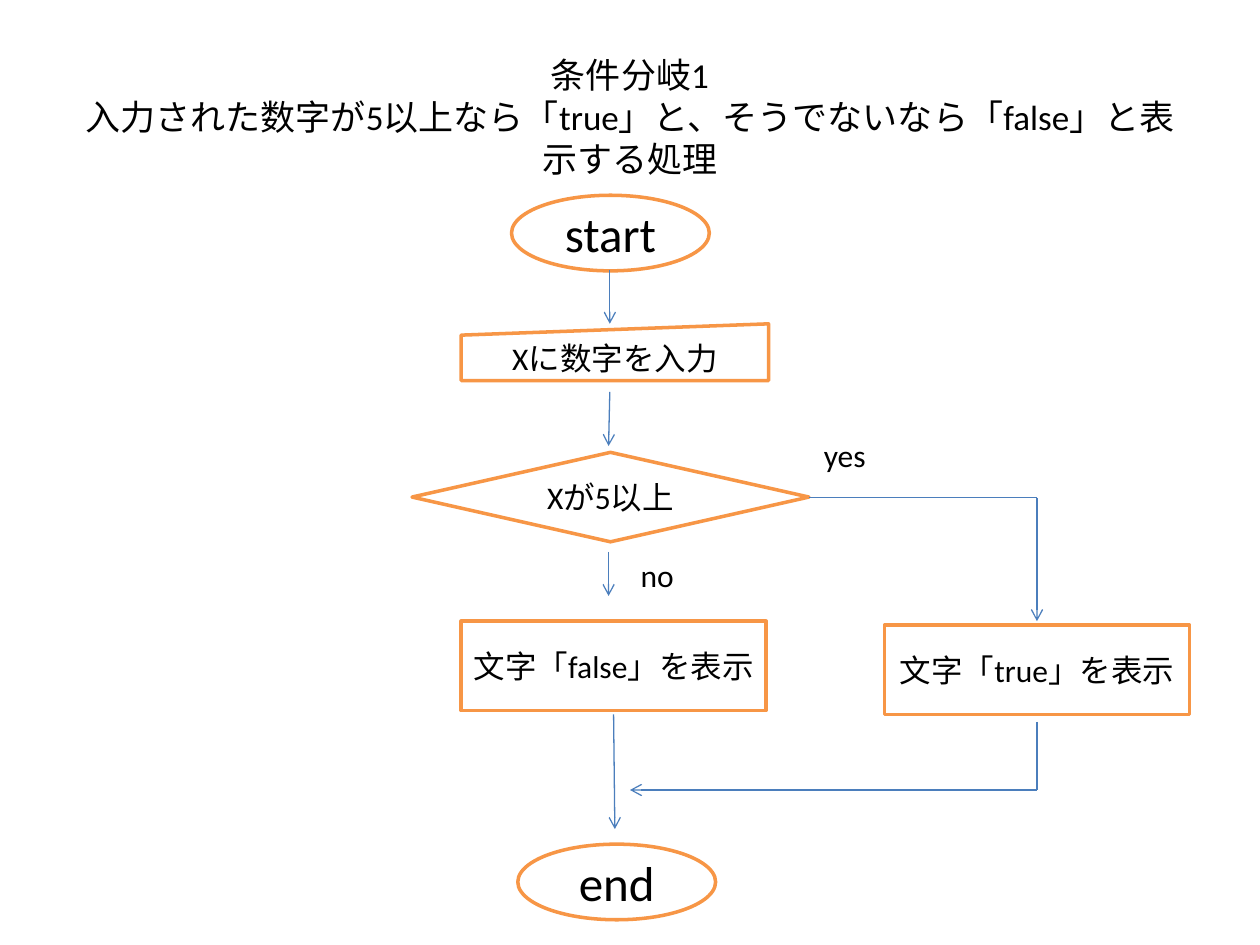
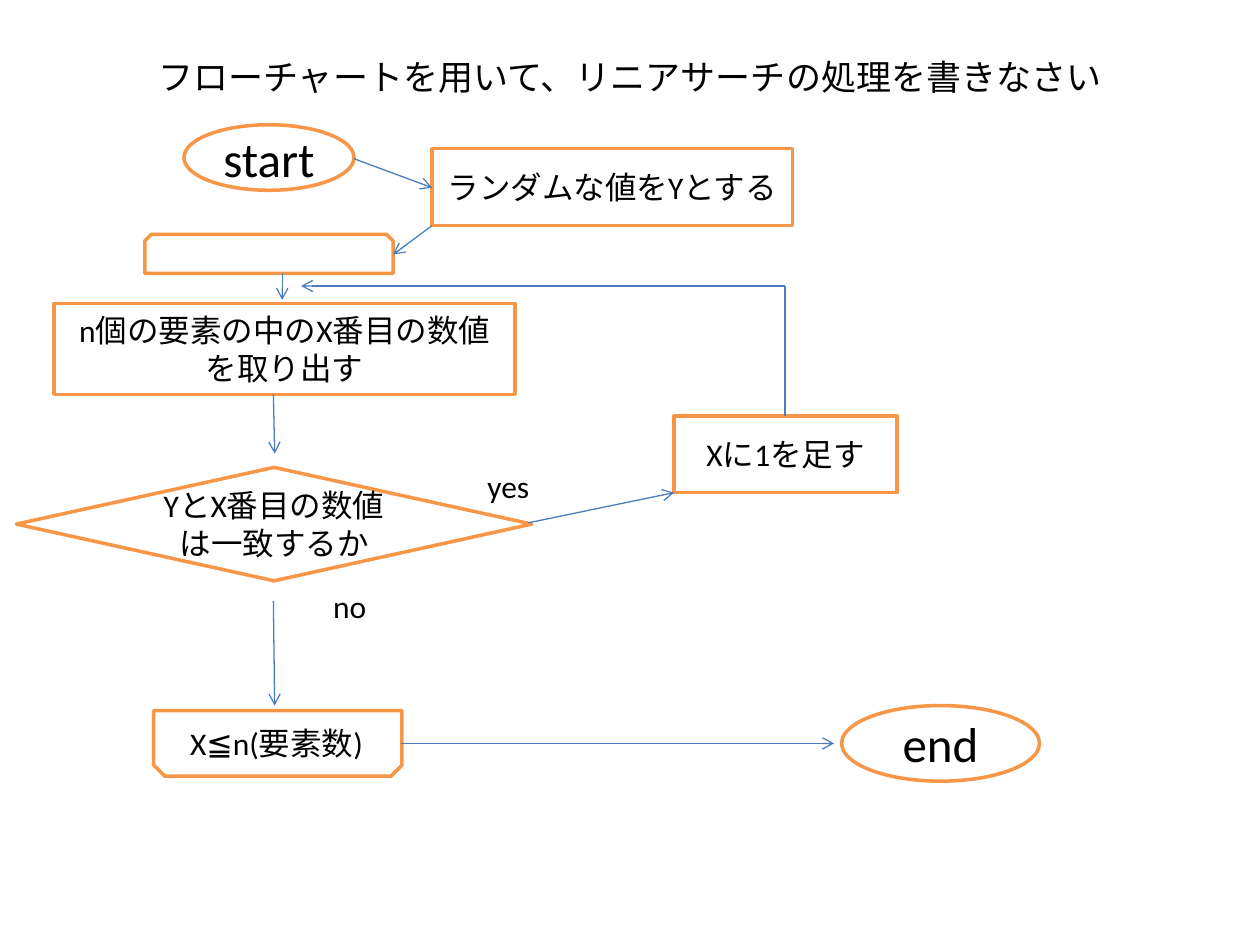
from itertools import pairwise
from lxml.etree import SubElement
from pptx import Presentation
from pptx.dml.color import RGBColor
from pptx.enum.shapes import MSO_CONNECTOR as Connector, MSO_SHAPE as Shape
from pptx.enum.text import MSO_ANCHOR as Anchor, PP_ALIGN as Align
from pptx.oxml.ns import qn
from pptx.util import Inches, Pt

COLUMNS, ROWS = 100, 75
WHITE, BLACK, ORANGE, BLUE = "FFFFFF", "000000", "F79646", "4B7EBC"


def color(value):
    return RGBColor.from_string(value)


def write(box, text, size=18, font="Calibri", ink=BLACK, align=Align.CENTER):
    frame = box.text_frame
    frame.word_wrap = True
    frame.vertical_anchor = Anchor.MIDDLE
    frame.text = text
    para = frame.paragraphs[0]
    para.alignment = align
    for span in para.runs:
        span.font.size = Pt(size)
        span.font.name = font
        span.font.color.rgb = color(ink)


class Flowchart:
    def __init__(self, deck):
        self.deck = deck
        self.column = deck.slide_width / COLUMNS
        self.row = deck.slide_height / ROWS
        self.page = None

    def place(self, left, top, width, height):
        return (round(left * self.column), round(top * self.row),
                round(width * self.column), round(height * self.row))

    def new_page(self, title, top, height):
        self.page = self.deck.slides.add_slide(self.deck.slide_layouts[6])
        self.label(title, 5, top, 90, height, size=20)

    def label(self, text, left, top, width=12.1, height=5.6, size=18):
        box = self.page.shapes.add_textbox(*self.place(left, top, width, height))
        write(box, text, size=size)

    def node(self, kind, text, left, top, width, height, size=18, rotation=0):
        box = self.page.shapes.add_shape(kind, *self.place(left, top, width, height))
        box.shadow.inherit = False
        box.rotation = rotation
        box.fill.solid()
        box.fill.fore_color.rgb = color(WHITE)
        box.line.color.rgb = color(ORANGE)
        box.line.width = Pt(2)
        if text:
            write(box, text, size=size)

    def terminal(self, text, left, top, width=15.7, height=6):
        self.node(Shape.OVAL, text, left, top, width, height, size=28)

    def process(self, text, left, top, width, height):
        self.node(Shape.RECTANGLE, text, left, top, width, height)

    def decision(self, text, left, top, width, height):
        self.node(Shape.FLOWCHART_DECISION, text, left, top, width, height)

    def loop_limit(self, left, top, width, height, rotation=0):
        self.node(Shape.SNIP_2_SAME_RECTANGLE, "", left, top, width, height, rotation=rotation)

    def route(self, *points):
        for start, end in pairwise(points):
            line = self.page.shapes.add_connector(
                Connector.STRAIGHT, *self.place(*start, *end))
            line.line.color.rgb = color(BLUE)
            line.line.width = Pt(0.75)
            properties = line.element.find(qn("p:spPr"))
            SubElement(properties, qn("a:effectLst"))
            if end == points[-1]:
                SubElement(properties.find(qn("a:ln")), qn("a:tailEnd"), type="arrow")


def branching(chart):
    chart.new_page("条件分岐1\v入力された数字が5以上なら「true」と、"
                   "そうでないなら「false」と表示する処理", 3, 12.5)
    chart.terminal("start", 40.6, 15.5)
    chart.node(Shape.FLOWCHART_MANUAL_INPUT, "Xに数字を入力", 36.6, 25.7, 24.4, 4.5)
    chart.decision("Xが5以上", 32.7, 35.9, 31.5, 7.1)
    chart.process("文字「false」を表示", 36.6, 49.3, 24.2, 7.1)
    chart.process("文字「true」を表示", 70.2, 49.6, 24.2, 7.1)
    chart.terminal("end", 41.1, 67)
    chart.label("yes", 61, 33.3)
    chart.label("no", 46.1, 42.8)
    chart.route((48.4, 21.4), (48.4, 25.7))
    chart.route((48.4, 31.1), (48.3, 35.4))
    chart.route((48.3, 43.8), (48.3, 47.3))
    chart.route((48.7, 56.7), (48.8, 65.8))
    chart.route((64.2, 39.5), (82.3, 39.5), (82.3, 49.3))
    chart.route((82.3, 57.3), (82.3, 62.7), (50, 62.7))


def linear_search(chart):
    chart.new_page("フローチャートを用いて、リニアサーチの処理を書きなさい", 2.2, 7.7)
    chart.terminal("start", 14.6, 9.9, 13.5, 5.2)
    chart.process("ランダムな値をYとする", 34.3, 11.8, 28.6, 6.1)
    chart.loop_limit(11.5, 18.6, 19.7, 3.1)
    chart.process("n個の要素の中のX番目の数値を取り出す", 4.3, 24.1, 36.6, 7.2)
    chart.decision("YとX番目の数値は一致するか", 1.3, 37.1, 40.9, 9)
    chart.process("Xに1を足す", 53.5, 33, 17.7, 6.1)
    chart.loop_limit(12.2, 56.4, 19.7, 5.2, rotation=180)
    chart.label("X≦n(要素数)", 12.1, 56.4, 19.7, 5.1)
    chart.terminal("end", 66.8, 56)
    chart.label("yes", 34.3, 35.8)
    chart.label("no", 21.7, 45.3)
    chart.route((28.1, 12.6), (34.3, 14.9))
    chart.route((34.3, 17.9), (31.2, 20.2))
    chart.route((22.4, 21.7), (22.4, 23.8))
    chart.route((21.7, 31.3), (21.8, 36))
    chart.route((41.9, 41.5), (53.5, 39.1))
    chart.route((62.3, 33), (62.3, 22.7), (23.9, 22.7))
    chart.route((21.7, 47.7), (21.8, 56))
    chart.route((31.8, 59), (66.2, 59))


deck = Presentation()
deck.slide_width, deck.slide_height = Inches(10), Inches(7.5)
chart = Flowchart(deck)
branching(chart)
linear_search(chart)
deck.save("out.pptx")
